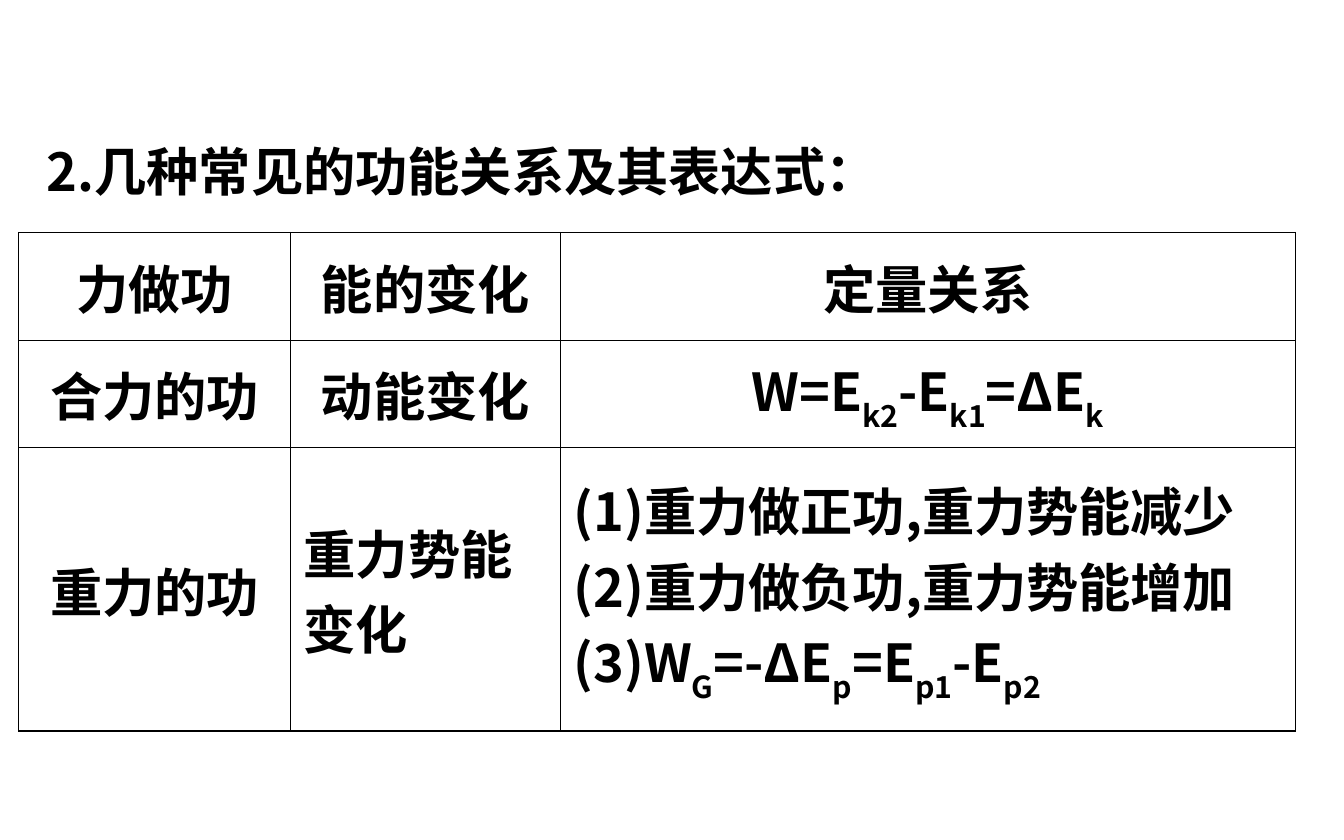
"""Build a slide with a table of common work-energy relations."""
import pptx
import pptx.dml.color
import pptx.enum.text
import pptx.oxml
import pptx.oxml.ns
import pptx.util
from pptx.util import Inches

TITLE = "2.几种常见的功能关系及其表达式："
SUBSCRIPT_MARK = "|"
ROWS = [
    [["力做功"], ["能的变化"], ["定量关系"]],
    [["合力的功"], ["动能变化"], ["W=E|k2|-E|k1|=ΔE|k"]],
    [
        ["重力的功"],
        ["重力势能", "变化"],
        [
            "(1)重力做正功,重力势能减少",
            "(2)重力做负功,重力势能增加",
            "(3)W|G|=-ΔE|p|=E|p1|-E|p2",
        ],
    ],
]
COLUMN_WIDTHS = [2.02, 2.01, 5.47]
ROW_HEIGHTS = [0.8, 0.8, 2.11]
THEME = {
    "font": "Noto Sans CJK SC",
    "size": 28,
    "ink": "000000",
    "outer_line": 0.75,
    "inner_line": 0.45,
    "subscript": "-30000",
}


def write_text(text_frame, lines, alignment="LEFT", line_spacing=None):
    """Write lines as paragraphs, lowering every second marked part."""
    text_frame.word_wrap = True
    for index, line in enumerate(lines):
        paragraph = text_frame.paragraphs[0] if index == 0 else text_frame.add_paragraph()
        paragraph.alignment = getattr(pptx.enum.text.PP_ALIGN, alignment)
        if line_spacing:
            paragraph.line_spacing = line_spacing
        for position, part in enumerate(line.split(SUBSCRIPT_MARK)):
            run = paragraph.add_run()
            run.text = part
            run.font.name = THEME["font"]
            run.font.size = pptx.util.Pt(THEME["size"])
            run.font.bold = True
            run.font.color.rgb = pptx.dml.color.RGBColor.from_string(THEME["ink"])
            properties = run._r.get_or_add_rPr()
            east_asian = pptx.oxml.parse_xml(
                f'<a:ea {pptx.oxml.ns.nsdecls("a")} typeface="{THEME["font"]}"/>'
            )
            properties.append(east_asian)
            if position % 2:
                properties.set("baseline", THEME["subscript"])


def set_borders(cell, outer_sides):
    """Draw all four cell borders, heavier on the outer sides."""
    properties = cell._tc.get_or_add_tcPr()
    for index, side in enumerate("LRTB"):
        weight = THEME["outer_line" if side in outer_sides else "inner_line"]
        border = pptx.oxml.parse_xml(
            f'<a:ln{side} {pptx.oxml.ns.nsdecls("a")} w="{pptx.util.Pt(weight)}">'
            f'<a:solidFill><a:srgbClr val="{THEME["ink"]}"/></a:solidFill></a:ln{side}>'
        )
        properties.insert(index, border)


def add_title(slide):
    """Add the heading above the table."""
    title = slide.shapes.add_textbox(Inches(0.25), Inches(0.75), Inches(9.43), Inches(0.8))
    write_text(title.text_frame, [TITLE], line_spacing=1.5)


def add_relations_table(slide):
    """Add the table of work, energy change and formula."""
    table = slide.shapes.add_table(
        len(ROW_HEIGHTS), len(COLUMN_WIDTHS), Inches(0.14), Inches(1.73),
        Inches(sum(COLUMN_WIDTHS)), Inches(sum(ROW_HEIGHTS)),
    ).table
    table.first_row = table.horz_banding = False
    for column, width in zip(table.columns, COLUMN_WIDTHS):
        column.width = Inches(width)
    for row, height in zip(table.rows, ROW_HEIGHTS):
        row.height = Inches(height)
    last_row, last_column = len(ROW_HEIGHTS) - 1, len(COLUMN_WIDTHS) - 1
    for row_index, row in enumerate(ROWS):
        for column_index, lines in enumerate(row):
            cell = table.cell(row_index, column_index)
            cell.fill.background()
            cell.vertical_anchor = pptx.enum.text.MSO_ANCHOR.MIDDLE
            write_text(cell.text_frame, lines, alignment="LEFT" if len(lines) > 1 else "CENTER")
            edges = {
                "L": column_index == 0,
                "R": column_index == last_column,
                "T": row_index == 0,
                "B": row_index == last_row,
            }
            set_borders(cell, [side for side, is_outer in edges.items() if is_outer])


def main():
    """Create and save the presentation."""
    presentation = pptx.Presentation()
    presentation.slide_width = Inches(10)
    presentation.slide_height = Inches(6.25)
    slide = presentation.slides.add_slide(presentation.slide_layouts[6])
    add_title(slide)
    add_relations_table(slide)
    presentation.save("out.pptx")


if __name__ == "__main__":
    main()
